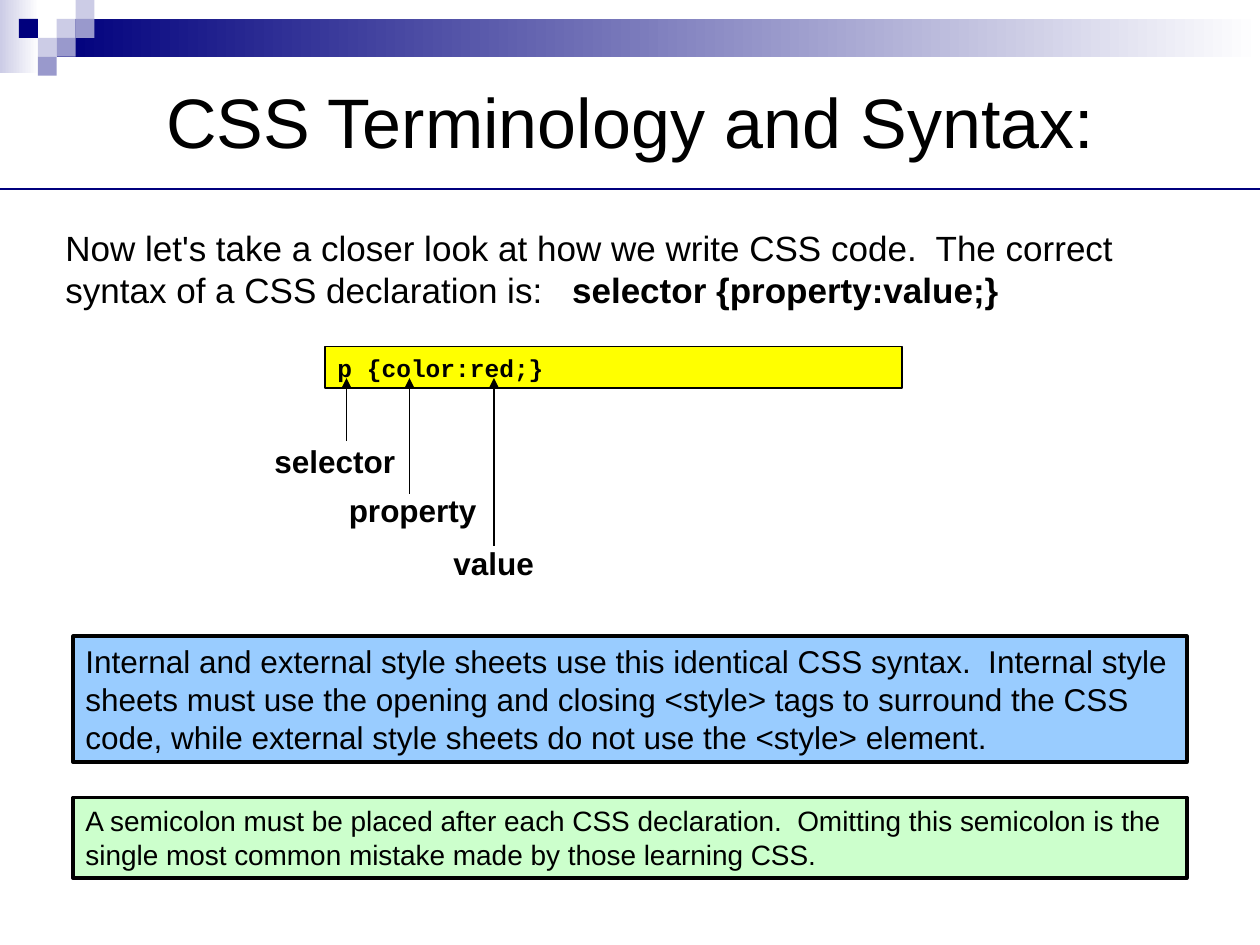
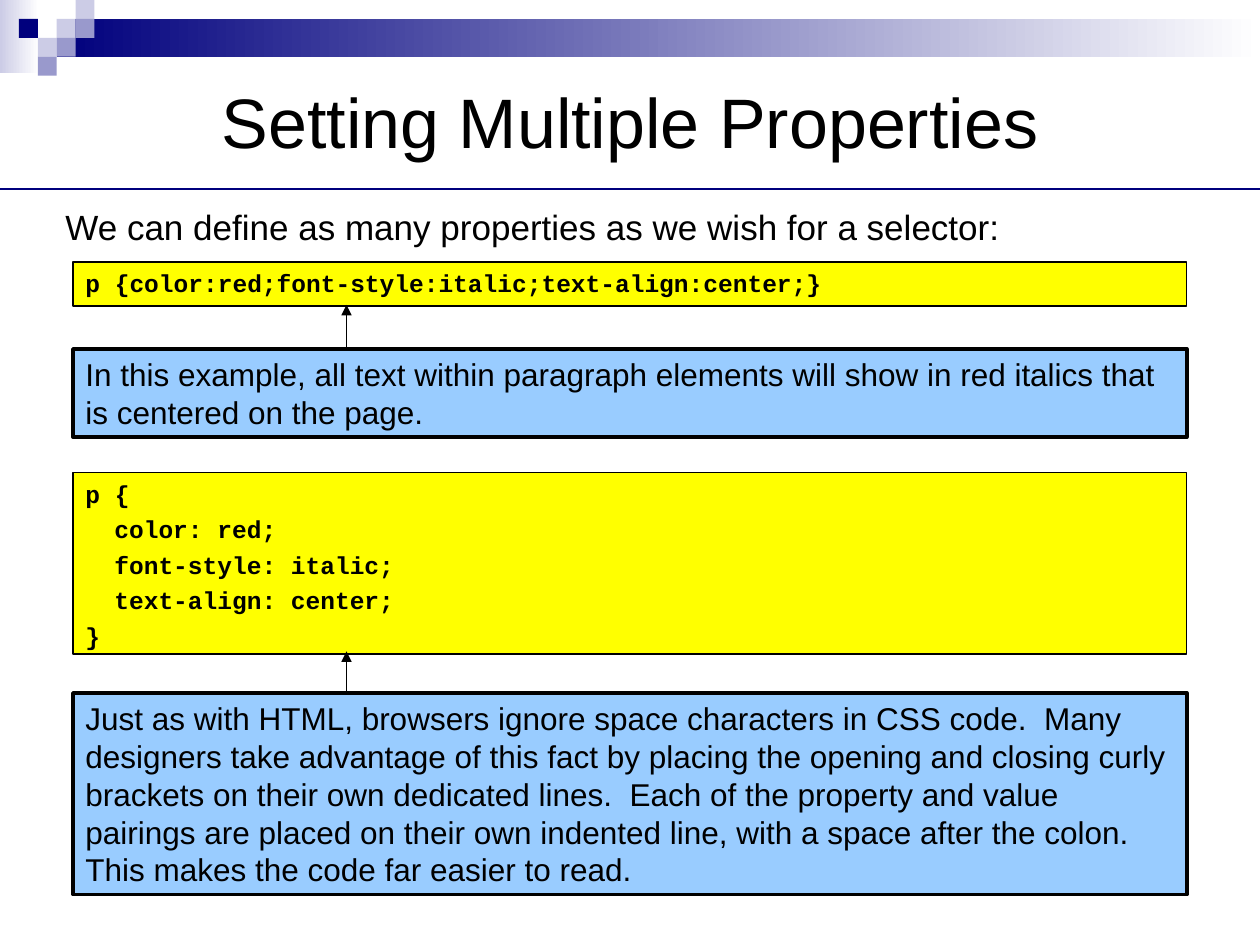
from pptx import Presentation
from pptx.dml.color import RGBColor
from pptx.enum import shapes, text
from pptx.oxml.ns import qn
from pptx.util import Inches, Pt
from lxml import etree

W, H = 10, 7.5
NAVY, LILAC, PALE, WHITE, BLACK = "00007D", "9999CC", "CCCCE6", "FFFFFF", "000000"
YELLOW, BLUE, GREEN = "FFFF00", "99CCFF", "CCFFCC"

CELL = 0.15                        # side of a square in the corner mosaic
MOSAIC = [                         # column, row, colour
    (3, 1, PALE), (4, 0, PALE), (4, 1, LILAC), (2, 2, PALE),
    (1, 1, NAVY), (3, 2, LILAC), (2, 3, LILAC),
]
RULE_Y = 1.5
MARGIN = 0.58
BOX_W = W - 2 * MARGIN
INTRO_X, INTRO_W = 0.42, 9.08
ARROW_X = 2.75
INDENT = 0.23                      # two characters of code

# Format of each kind of box
CODE = dict(fill=YELLOW, line=0.75, size=14, font="Courier New", bold=True, before=3.5)
NOTE = dict(fill=BLUE, line=2, size=18, before=6, after=6, grow=True)
TIP = dict(NOTE, fill=GREEN, size=16)
LABEL = dict(size=18, bold=True, before=11.2, grow=True)

# A paragraph is a list of (text, bold) runs or a plain string.
# Boxes: left, top, width, height, paragraphs, format. Arrows: x, from y, to y.
SLIDES = [
    dict(
        title="CSS Terminology and Syntax:",
        intro=(1.75, 0.75, [
            ("Now let's take a closer look at how we write CSS code.  "
             "The correct syntax of a CSS declaration is:   ", False),
            ("selector {property:value;}", True)]),
        boxes=[
            (2.58, 2.75, 4.58, 0.33, ["p {color:red;}"], CODE),
            (MARGIN, 5.05, BOX_W, 1, [
                "Internal and external style sheets use this identical CSS syntax.  "
                "Internal style sheets must use the opening and closing <style> tags to "
                "surround the CSS code, while external style sheets do not use the "
                "<style> element."], NOTE),
            (MARGIN, 6.33, BOX_W, 0.64, [
                "A semicolon must be placed after each CSS declaration.  Omitting this "
                "semicolon is the single most common mistake made by those learning CSS."],
             TIP),
            (2.08, 3.46, 1.17, 0.4, ["selector"], LABEL),
            (2.67, 3.85, 1.33, 0.4, ["property"], LABEL),
            (3.5, 4.27, 0.92, 0.4, ["value"], LABEL),
        ],
        arrows=[(ARROW_X, 3.5, 3), (3.25, 3.92, 3), (3.92, 4.33, 3)],
    ),
    dict(
        title="Setting Multiple Properties",
        intro=(1.58, 0.5, "We can define as many properties as we wish for a selector:"),
        boxes=[
            (MARGIN, 2.08, BOX_W, 0.35,
             ["p {color:red;font-style:italic;text-align:center;}"], CODE),
            (MARGIN, 2.77, BOX_W, 0.7, [
                "In this example, all text within paragraph elements will show in red "
                "italics that is centered on the page."], NOTE),
            (MARGIN, 3.75, BOX_W, 1.44,
             ["p {", "color: red;", "font-style: italic;", "text-align: center;", "}"],
             dict(CODE, indented=(1, 2, 3))),
            (MARGIN, 5.5, BOX_W, 1.6, [
                "Just as with HTML, browsers ignore space characters in CSS code.  Many "
                "designers take advantage of this fact by placing the opening and closing "
                "curly brackets on their own dedicated lines.  Each of the property and "
                "value pairings are placed on their own indented line, with a space after "
                "the colon.  This makes the code far easier to read."], NOTE),
        ],
        arrows=[(ARROW_X, 2.75, 2.42), (ARROW_X, 5.5, 5.17)],
    ),
]


def rgb(value):
    return RGBColor.from_string(value)


def add_rect(s, x, y, w, h, *colors):
    """Add a borderless rectangle: one colour is solid, two run left to right."""
    sp = s.shapes.add_shape(shapes.MSO_SHAPE.RECTANGLE, *map(Inches, (x, y, w, h)))
    sp.shadow.inherit = False
    sp.line.fill.background()
    if len(colors) == 1:
        sp.fill.solid()
        sp.fill.fore_color.rgb = rgb(colors[0])
    else:
        sp.fill.gradient()
        sp.fill.gradient_angle = 0
        for stop, position, color in zip(sp.fill.gradient_stops, (0, 1), colors):
            stop.position = position
            stop.color.rgb = rgb(color)
    return sp


def add_text(s, x, y, w, h, paragraphs, size=20, font="Arial", bold=False, fill=None,
             line=None, align="LEFT", anchor="TOP", before=0, after=0, grow=False,
             indented=()):
    """Add a text box, or a bordered rectangle with text when fill is given."""
    if fill:
        sp = add_rect(s, x, y, w, h, fill)
        sp.line.color.rgb = rgb(BLACK)
        sp.line.width = Pt(line)
    else:
        sp = s.shapes.add_textbox(*map(Inches, (x, y, w, h)))
    tf = sp.text_frame
    tf.word_wrap = True
    tf.auto_size = getattr(text.MSO_AUTO_SIZE, "SHAPE_TO_FIT_TEXT" if grow else "NONE")
    tf.vertical_anchor = getattr(text.MSO_ANCHOR, anchor)
    for i, runs in enumerate(paragraphs):
        p = tf.add_paragraph() if i else tf.paragraphs[0]
        p.alignment = getattr(text.PP_ALIGN, align)
        p.space_before, p.space_after = Pt(before), Pt(after)
        if i in indented:
            p._p.get_or_add_pPr().set("marL", str(Inches(INDENT)))
        for words, strong in [(runs, bold)] if isinstance(runs, str) else runs:
            r = p.add_run()
            r.text = words
            r.font.size, r.font.name, r.font.bold = Pt(size), font, strong
            r.font.color.rgb = rgb(BLACK)


def add_line(s, x1, y1, x2, y2, color=BLACK, width=0.75, arrow=False):
    c = s.shapes.add_connector(shapes.MSO_CONNECTOR.STRAIGHT,
                               *map(Inches, (x1, y1, x2, y2)))
    c.line.color.rgb = rgb(color)
    c.line.width = Pt(width)
    if arrow:
        etree.SubElement(c.line._get_or_add_ln(), qn("a:tailEnd"), type="triangle")
    etree.SubElement(c._element.spPr, qn("a:effectLst"))


def add_frame(s, title):
    """Draw what every slide shares: band, mosaic, title and rule."""
    add_rect(s, 0, 0, 0.31, 0.58, PALE, WHITE)
    add_rect(s, 3 * CELL, CELL, W - 3 * CELL, 2 * CELL, NAVY, WHITE)
    for col, row, color in MOSAIC:
        add_rect(s, col * CELL, row * CELL, CELL, CELL, color)
    add_text(s, 0.5, 0.42, W - 1, RULE_Y - 0.42, [title], size=40,
             align="CENTER", anchor="MIDDLE")
    add_line(s, 0, RULE_Y, W, RULE_Y, color=NAVY, width=1.25)


def main():
    prs = Presentation()
    prs.slide_width, prs.slide_height = Inches(W), Inches(H)
    for content in SLIDES:
        s = prs.slides.add_slide(prs.slide_layouts[6])
        add_frame(s, content["title"])
        top, height, intro = content["intro"]
        add_text(s, INTRO_X, top, INTRO_W, height, [intro])
        for x, y, w, h, paragraphs, style in content["boxes"]:
            add_text(s, x, y, w, h, paragraphs, **style)
        for x, start, end in content["arrows"]:
            add_line(s, x, start, x, end, arrow=True)
    prs.save("out.pptx")


if __name__ == "__main__":
    main()
